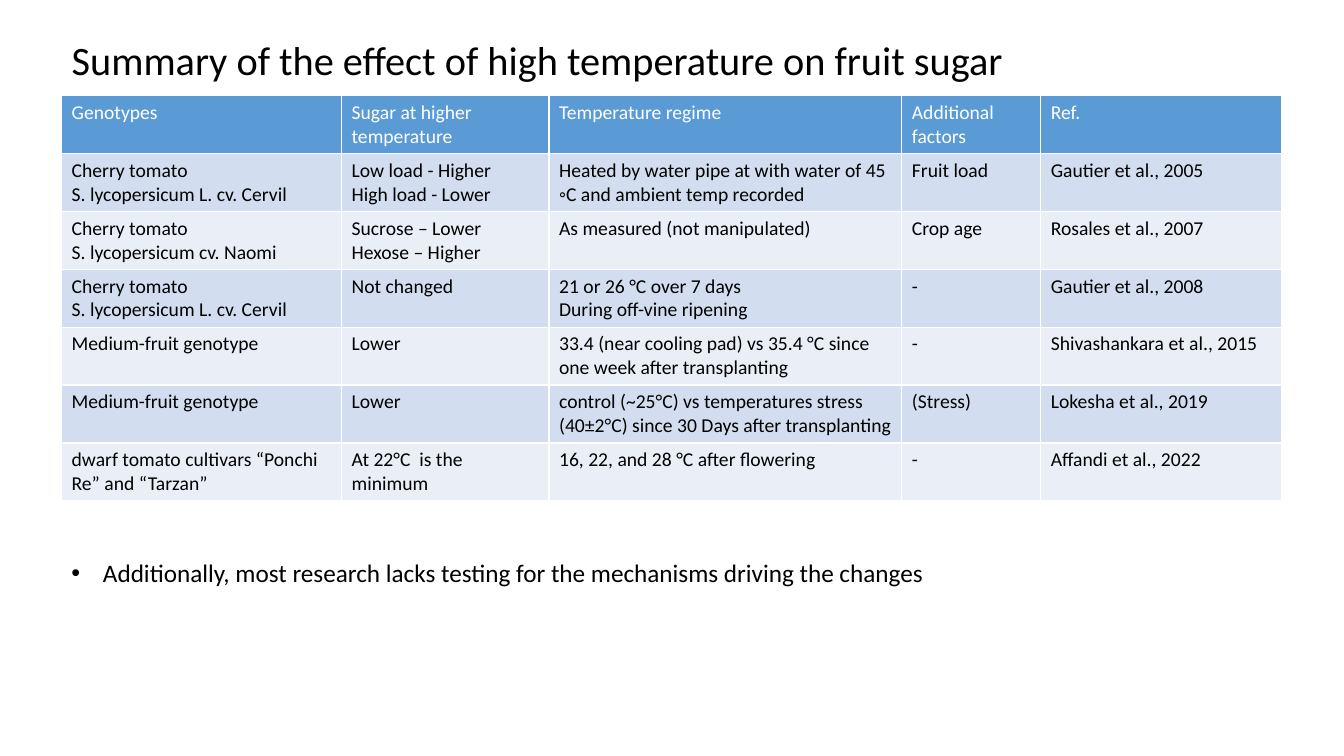
from pptx import Presentation
from pptx.dml.color import RGBColor
from pptx.enum.text import MSO_ANCHOR, MSO_AUTO_SIZE, PP_ALIGN
from pptx.util import Pt
from lxml.etree import SubElement
from pptx.oxml.ns import qn

BLACK = RGBColor(0x00, 0x00, 0x00)
WHITE = RGBColor(0xFF, 0xFF, 0xFF)
HEADER_BLUE = RGBColor(0x5B, 0x9B, 0xD5)
BAND_BLUE = RGBColor(0xD2, 0xDE, 0xEF)
BAND_PALE = RGBColor(0xEA, 0xEF, 0xF7)

LEFT = Pt(44)
ROW_HEIGHT = Pt(41.35)
COLUMN_WIDTHS = [200, 148.2, 252, 99.2, 172]
STUDIES = [
    ["Genotypes", "Sugar at higher temperature", "Temperature regime", "Additional factors", "Ref."],
    ["Cherry tomato\nS. lycopersicum L. cv. Cervil", "Low load - Higher\nHigh load - Lower",
     "Heated by water pipe at with water of 45 ◦C and ambient temp recorded",
     "Fruit load", "Gautier et al., 2005"],
    ["Cherry tomato\nS. lycopersicum cv. Naomi", "Sucrose – Lower\nHexose – Higher",
     "As measured (not manipulated)", "Crop age", "Rosales et al., 2007"],
    ["Cherry tomato\nS. lycopersicum L. cv. Cervil", "Not changed",
     "21 or 26 °C over 7 days\nDuring off-vine ripening", "-", "Gautier et al., 2008"],
    ["Medium-fruit genotype", "Lower",
     "33.4 (near cooling pad) vs 35.4 °C since one week after transplanting",
     "-", "Shivashankara et al., 2015"],
    ["Medium-fruit genotype", "Lower",
     "control (~25°C) vs temperatures stress (40±2°C) since 30 Days after transplanting",
     "(Stress)", "Lokesha et al., 2019"],
    ["dwarf tomato cultivars “Ponchi Re” and “Tarzan”", "At 22°C  is the minimum",
     "16, 22, and 28 °C after flowering", "-", "Affandi et al., 2022"],
]


def format_text(frame, size, color):
    for paragraph in frame.paragraphs:
        for name, value in {"name": "Calibri", "size": Pt(size), "bold": False}.items():
            setattr(paragraph.font, name, value)
        paragraph.font.color.rgb = color


presentation = Presentation()
presentation.slide_width, presentation.slide_height = Pt(960), Pt(540)
slide = presentation.slides.add_slide(presentation.slide_layouts[5])

title = slide.shapes.title
title_box = {"left": LEFT, "top": Pt(31.7), "width": Pt(828), "height": Pt(25.2)}
for name, value in title_box.items():
    setattr(title, name, value)
heading = title.text_frame
heading.text = "Summary of the effect of high temperature on fruit sugar"
heading_format = {"word_wrap": True, "auto_size": MSO_AUTO_SIZE.NONE,
                  "vertical_anchor": MSO_ANCHOR.MIDDLE}
for name, value in heading_format.items():
    setattr(heading, name, value)
heading.paragraphs[0].alignment = PP_ALIGN.LEFT
heading.paragraphs[0].line_spacing = 0.9
format_text(heading, 28.8, BLACK)

summary = slide.shapes.add_table(
    len(STUDIES), len(COLUMN_WIDTHS), LEFT, Pt(68.4),
    Pt(sum(COLUMN_WIDTHS)), ROW_HEIGHT * len(STUDIES)).table
for column, width in zip(summary.columns, COLUMN_WIDTHS):
    column.width = Pt(width)
for row_number, study in enumerate(STUDIES):
    is_header = row_number == 0
    band = BAND_BLUE if row_number % 2 else BAND_PALE
    for column_number, entry in enumerate(study):
        cell = summary.cell(row_number, column_number)
        cell.text = entry
        cell.fill.solid()
        cell.fill.fore_color.rgb = HEADER_BLUE if is_header else band
        format_text(cell.text_frame, 14, WHITE if is_header else BLACK)

remark = slide.shapes.add_textbox(LEFT, Pt(394.6), Pt(676), Pt(29)).text_frame
remark.word_wrap = True
remark.text = "Additionally, most research lacks testing for the mechanisms driving the changes"
bullet_properties = remark.paragraphs[0]._p.get_or_add_pPr()
bullet_properties.set("marL", str(Pt(22.5)))
bullet_properties.set("indent", str(-Pt(22.5)))
SubElement(bullet_properties, qn("a:buFont")).set("typeface", "Arial")
SubElement(bullet_properties, qn("a:buChar")).set("char", "•")
format_text(remark, 18, BLACK)

presentation.save("out.pptx")
